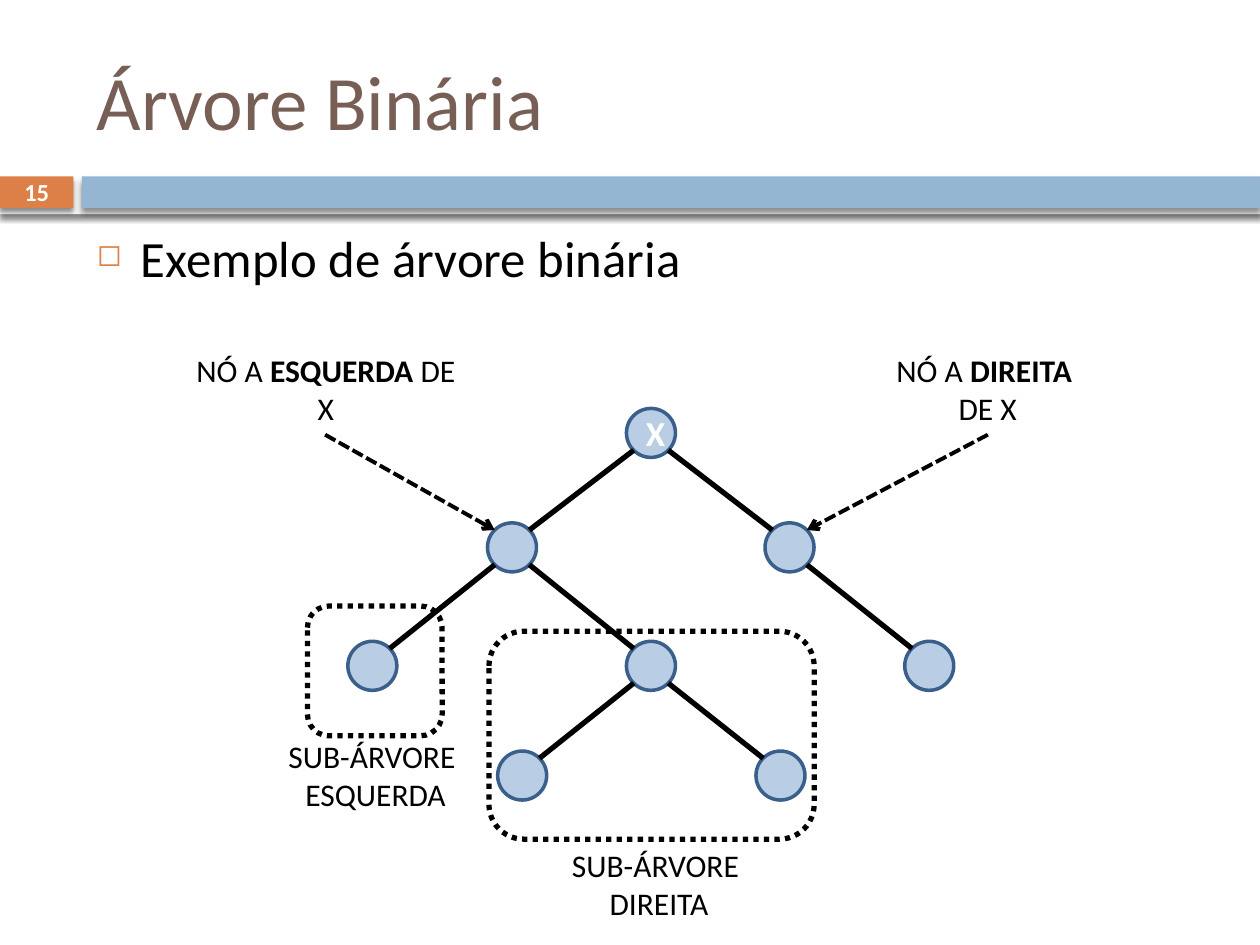
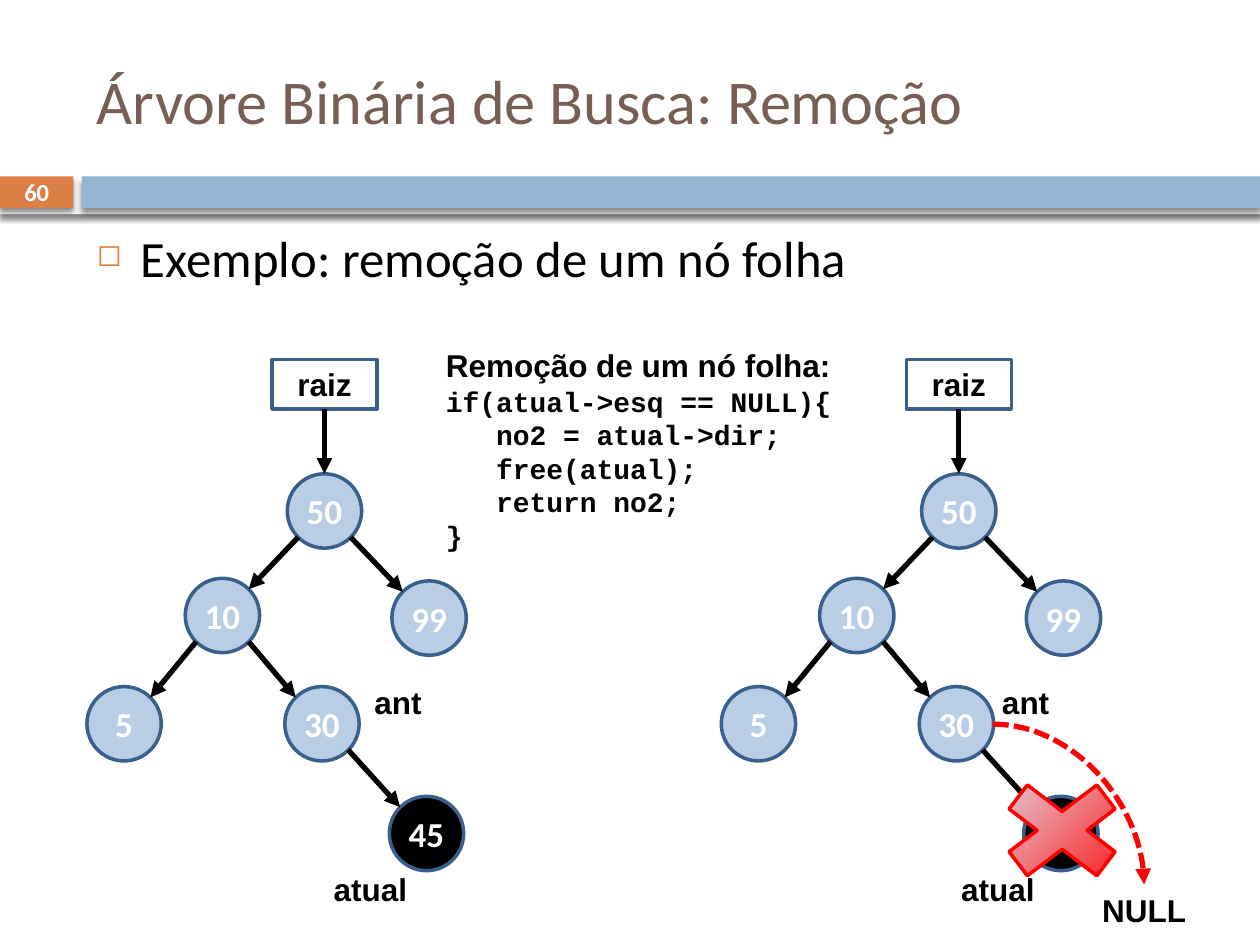
from dataclasses import dataclass
from math import sqrt

from lxml.etree import SubElement
from pptx import Presentation
from pptx.dml.color import RGBColor as RGB
from pptx.enum.dml import MSO_LINE as DASH
from pptx.enum.shapes import MSO_CONNECTOR as CONN, MSO_SHAPE as SHAPE
from pptx.enum.text import MSO_ANCHOR as ANCHOR, PP_ALIGN as ALIGN
from pptx.oxml.ns import qn
from pptx.util import Pt


@dataclass(frozen=True)
class Theme:
    title: str = "775F55"
    accent: str = "DD8047"
    band: str = "94B6D2"
    node: str = "B9CDE5"
    outline: str = "3A5F8B"
    black: str = "000000"
    white: str = "FFFFFF"
    red: str = "FF0000"
    pale: str = "E0E8F5"
    sans: str = "Calibri"
    label: str = "Arial"
    code: str = "Courier New"
    body_size: float = 29
    node_size: float = 20
    label_size: float = 18
    code_size: float = 16
    number_size: float = 14


T = Theme()
NODE_TEXT = dict(size=T.node_size, color=T.white, bold=True)
LABEL = dict(font=T.label, bold=True)


def put(s, kind, box, paras=(), fill=None, line=None, width=2, dash=None,
        font=T.sans, size=T.label_size, color=T.black, bold=False,
        align=ALIGN.CENTER, anchor=ANCHOR.TOP, inset=(7.2, 3.6)):
    """Add a preset shape, or a text box when kind is None.

    A paragraph is a string or a list of (text, bold) runs.
    """
    box = [Pt(v) for v in box]
    if kind is None:
        sp = s.shapes.add_textbox(*box)
    else:
        sp = s.shapes.add_shape(kind, *box)
        sp.shadow.inherit = False
        if fill:
            sp.fill.solid()
            sp.fill.fore_color.rgb = RGB.from_string(fill)
        else:
            sp.fill.background()
        if line:
            sp.line.color.rgb = RGB.from_string(line)
            sp.line.width = Pt(width)
            sp.line.dash_style = dash
        else:
            sp.line.fill.background()
    tf = sp.text_frame
    x, y = (Pt(v) for v in inset)
    frame = dict(word_wrap=True, vertical_anchor=anchor, margin_left=x,
                 margin_right=x, margin_top=y, margin_bottom=y)
    for name, value in frame.items():
        setattr(tf, name, value)
    for i, para in enumerate(paras):
        p = tf.add_paragraph() if i else tf.paragraphs[0]
        p.alignment = align
        for text, strong in [(para, bold)] if isinstance(para, str) else para:
            r = p.add_run()
            r.text = text
            for name, value in dict(name=font, size=Pt(size), bold=strong).items():
                setattr(r.font, name, value)
            r.font.color.rgb = RGB.from_string(color)
    return sp


def link(s, start, end, kind=CONN.STRAIGHT, color=T.black, width=3, dash=None, head=None):
    """Draw a line, with an optional arrowhead at its end."""
    c = s.shapes.add_connector(kind, *(Pt(v) for v in (*start, *end)))
    c.line.color.rgb = RGB.from_string(color)
    c.line.width = Pt(width)
    c.line.dash_style = dash
    if head:
        SubElement(c.line._get_or_add_ln(), qn("a:tailEnd"), type=head)
    SubElement(c._element.spPr, qn("a:effectLst"))
    return c


prs = Presentation()
prs.slide_width, prs.slide_height = Pt(720), Pt(540)

# Shared frame: bands, slide number, title and bullet line
pages = [
    ("15", "Árvore Binária", 44, "Exemplo de árvore binária"),
    ("60", "Árvore Binária de Busca: Remoção", 35.6, "Exemplo: remoção de um nó folha"),
]
slides = []
for number, title, title_size, bullet in pages:
    s = prs.slides.add_slide(prs.slide_layouts[6])
    slides.append(s)
    bands = [
        ((0, 97.2, 720, 25.2), T.white, ()),
        ((0, 100.8, 42, 18), T.accent, (number,)),
        ((46.8, 100.8, 673.2, 18), T.band, ()),
    ]
    for box, fill, paras in bands:
        sp = put(s, SHAPE.RECTANGLE, box, paras, fill, size=T.number_size,
                 color=T.white, bold=True, anchor=ANCHOR.MIDDLE)
        effects = sp._element.spPr.find(qn("a:effectLst"))
        shadow = SubElement(effects, qn("a:outerShdw"), blurRad=str(Pt(3)),
                            dist=str(Pt(2.4)), dir="5400000", rotWithShape="0")
        tint = SubElement(shadow, qn("a:srgbClr"), val=T.black)
        SubElement(tint, qn("a:alpha"), val="45000")

    put(s, None, (48.24, 18, 642.24, 77.76), [title], size=title_size,
        color=T.title, align=ALIGN.LEFT, anchor=ANCHOR.MIDDLE)
    sp = put(s, None, (48.24, 126, 642.24, 354.24), [bullet],
             size=T.body_size, align=ALIGN.LEFT)
    pPr = sp.text_frame.paragraphs[0]._p.get_or_add_pPr()
    pPr.set("marL", str(Pt(25.2)))
    pPr.set("indent", str(-Pt(25.2)))
    SubElement(SubElement(pPr, qn("a:buClr")), qn("a:srgbClr"), val=T.accent)
    SubElement(pPr, qn("a:buSzPct"), val="60000")
    SubElement(pPr, qn("a:buChar"), char="◻")

# Slide 1: binary tree, nodes given by their centres
s = slides[0]
d = 28
k = d / 2 / sqrt(2)
nodes = {
    "root": (372, 247.4),
    "left": (292.6, 312.8), "right": (451.2, 312.8),
    "left-left": (212.8, 380.5), "left-right": (372, 380.5), "right-right": (531, 380.5),
    "inner-left": (298.4, 443.2), "inner-right": (446, 443.2),
}
edges = [
    ("root", "left"), ("root", "right"), ("left", "left-left"), ("left", "left-right"),
    ("right", "right-right"), ("left-right", "inner-left"), ("left-right", "inner-right"),
]
for name, (x, y) in nodes.items():
    put(s, SHAPE.OVAL, (x - d / 2, y - d / 2, d, d), ["X"] if name == "root" else (),
        T.node, T.outline, anchor=ANCHOR.MIDDLE, **NODE_TEXT)
for parent, child in edges:
    (x1, y1), (x2, y2) = nodes[parent], nodes[child]
    side = k if x2 > x1 else -k
    link(s, (x1 + side, y1 + k), (x2 - side, y2 - k))

# Dotted frames around the subtrees
for box in ((279.4, 360.7, 185.8, 118.8), (175.7, 346.3, 77, 74.2)):
    put(s, SHAPE.ROUNDED_RECTANGLE, box, line=T.black, width=3, dash=DASH.ROUND_DOT)

# Captions
captions = [
    ((272.9, 480.2, 207.4, 50.4), ["SUB-ÁRVORE ", "DIREITA"]),
    ((110.9, 417.6, 207.4, 50.4), ["SUB-ÁRVORE ", "ESQUERDA"]),
    ((491, 197.3, 146.9, 50.4), [[("NÓ A ", False), ("DIREITA ", True)], "DE X"]),
    ((99.4, 197.3, 173.5, 50.4), [[("NÓ A ", False), ("ESQUERDA", True), (" DE X", False)]]),
]
for box, paras in captions:
    put(s, None, box, paras)

# Dashed arrows from the captions to the two children
for x, child, side in ((564.5, "right", k), (185.8, "left", -k)):
    cx, cy = nodes[child]
    link(s, (x, 248.4), (cx + side, cy - k), width=2.25, dash=DASH.SQUARE_DOT, head="arrow")

# Slide 2: the search tree before and after the removal
s = slides[1]
d = 42.5
k = d / 2 / sqrt(2)
nodes = {
    "50": (185.4, 292), "10": (127.1, 351.7), "99": (245.2, 353.2),
    "5": (70.9, 413.6), "30": (184, 413.6), "45": (243.7, 476.3),
}
edges = [("50", "10"), ("50", "99"), ("10", "5"), ("10", "30"), ("30", "45")]
labels = [("ant", 191.5, 386.6), ("atual", 175.7, 493.9)]
for tree_dx, label_dx in ((0, 0), (362.5, 358.6)):
    for value, (x, y) in nodes.items():
        put(s, SHAPE.OVAL, (x + tree_dx - d / 2, y - d / 2, d, d), [value],
            T.black if value == "45" else T.node, T.outline,
            anchor=ANCHOR.MIDDLE, inset=(0, 0), **NODE_TEXT)
    for parent, child in edges:
        (x1, y1), (x2, y2) = nodes[parent], nodes[child]
        side = k if x2 > x1 else -k
        link(s, (x1 + tree_dx + side, y1 + k), (x2 + tree_dx - side, y2 - k), head="triangle")
    root_x, root_y = nodes["50"]
    root_x += tree_dx
    put(s, SHAPE.RECTANGLE, (root_x - 30, 205.4, 60, 28.4), ["raiz"], line=T.outline,
        anchor=ANCHOR.MIDDLE, **LABEL)
    link(s, (root_x, 233.8), (root_x, root_y - d / 2), head="triangle")
    for text, x, y in labels:
        put(s, None, (x + label_dx, y, 72, 28.8), [text], **LABEL)

# Code of the removal
sp = put(s, None, (247.7, 194.4, 257, 124.6), [
    "Remoção de um nó folha:",
    "if(atual->esq == NULL){",
    "   no2 = atual->dir;",
    "   free(atual);",
    "   return no2;",
    "}",
], align=ALIGN.LEFT, font=T.code, size=T.code_size, bold=True)
heading = sp.text_frame.paragraphs[0].runs[0].font
heading.name, heading.size = T.label, Pt(T.label_size)

# New link to NULL
c = link(s, (567.4, 413.8), (653.8, 505.4), CONN.CURVE, T.red,
         dash=DASH.SQUARE_DOT, head="triangle")
c._element.spPr.find(qn("a:prstGeom")).set("prst", "curvedConnector2")
put(s, None, (617.8, 505.4, 72, 28.8), ["NULL"], **LABEL)

# Cross over the removed node
cross = put(s, SHAPE.MATH_MULTIPLY, (558.7, 437.8, 96.5, 73.4), line=T.red)
cross.adjustments[0] = 0.235
cross.fill.gradient()
cross.fill.gradient_angle = 315
for stop, color, position in zip(cross.fill.gradient_stops, (T.pale, T.red), (0, 1)):
    stop.color.rgb = RGB.from_string(color)
    stop.position = position

prs.save("out.pptx")
